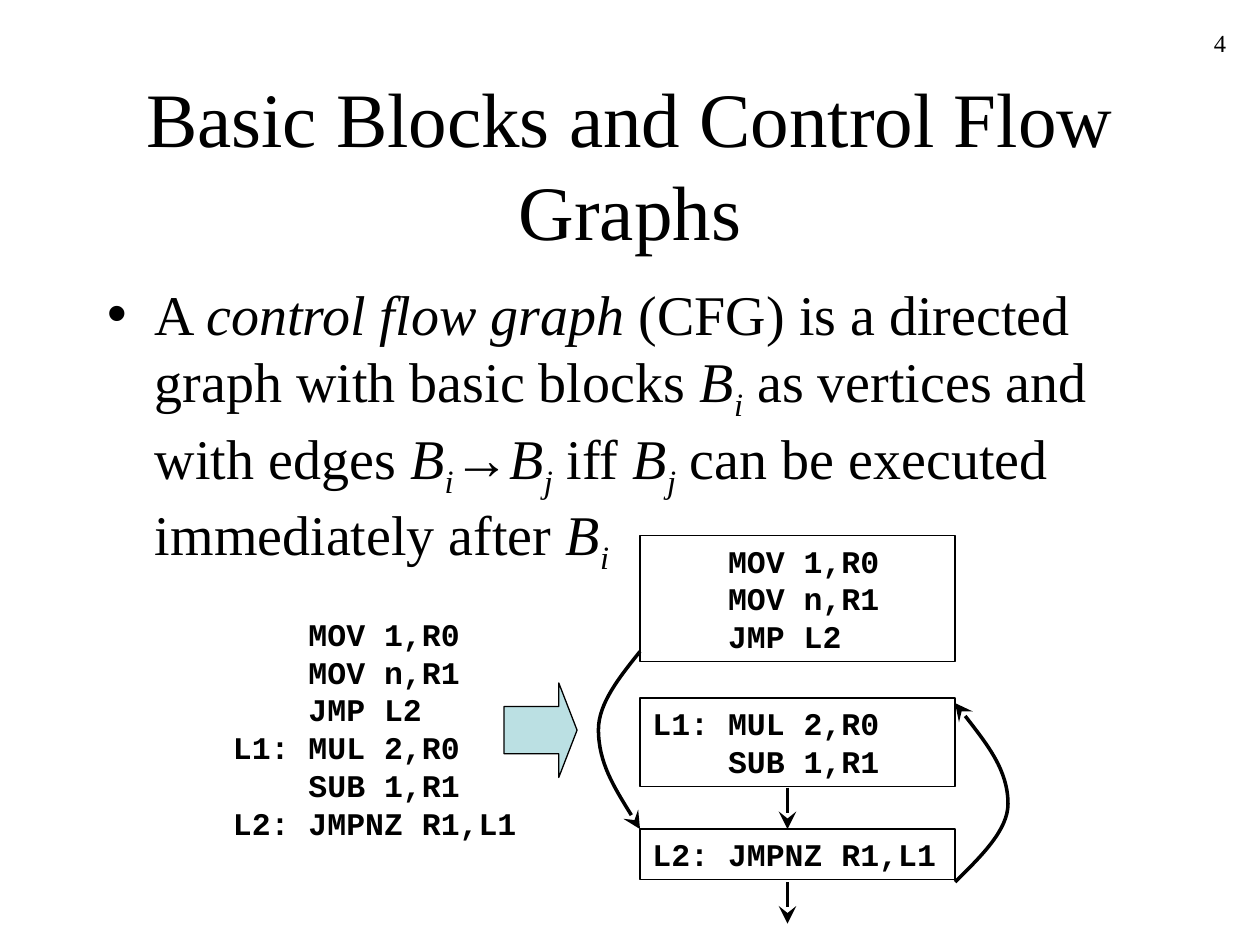
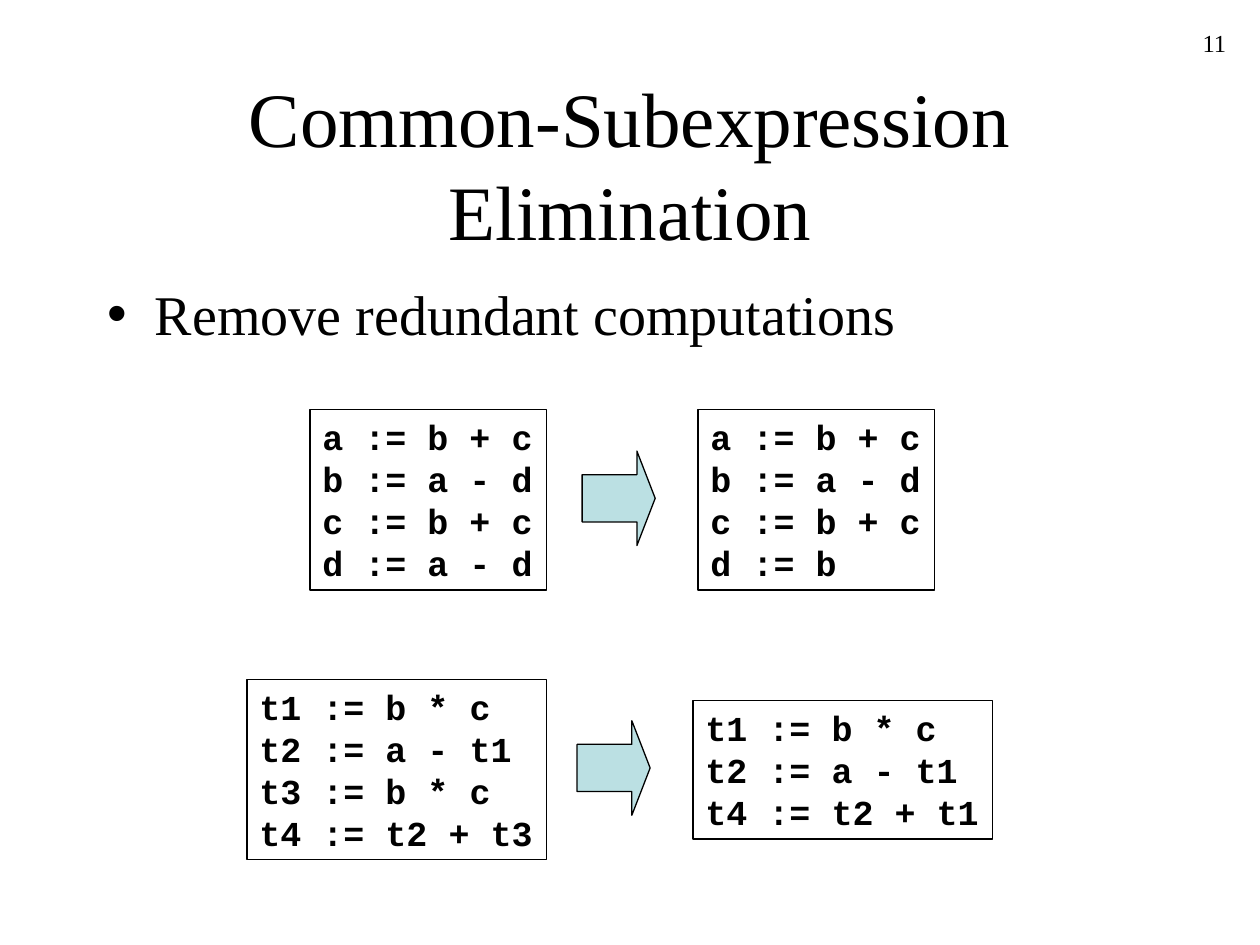
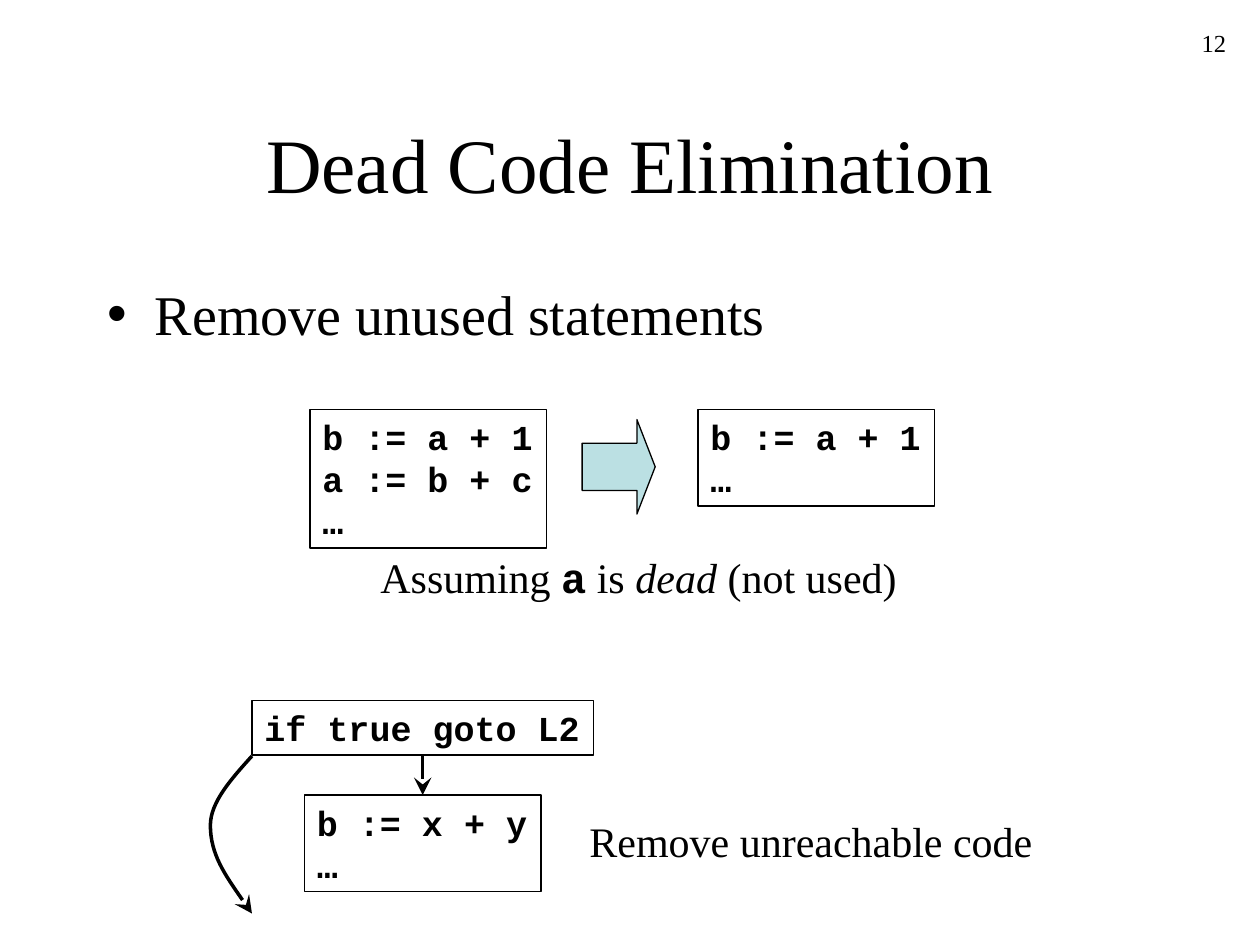
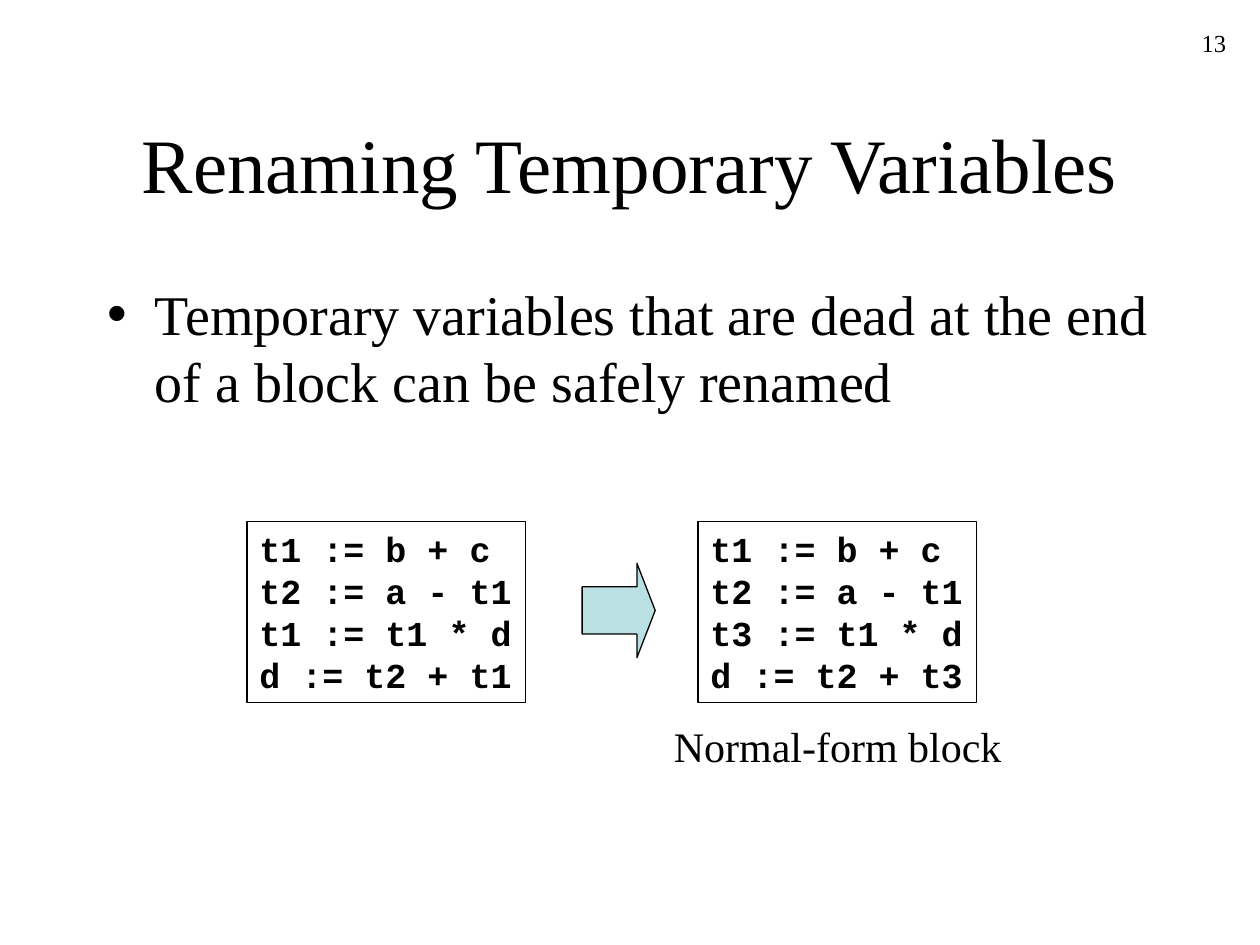
from dataclasses import dataclass

from pptx import Presentation
from pptx.dml.color import RGBColor
from pptx.enum.shapes import MSO_CONNECTOR, MSO_SHAPE
from pptx.enum.text import MSO_ANCHOR, MSO_AUTO_SIZE, PP_ALIGN
from pptx.oxml.ns import qn
from pptx.oxml.xmlchemy import OxmlElement
from pptx.util import Inches, Pt

BLACK = RGBColor(0x00, 0x00, 0x00)
PALE_TEAL = RGBColor(0xBB, 0xE0, 0xE3)
SERIF = "Times New Roman"
MONO = "Courier New"
Point = tuple[float, float]


@dataclass
class Span:
    text: str
    italic: bool = False
    bold: bool = False
    subscript: bool = False
    face: str = SERIF


@dataclass
class Code:
    left: float
    top: float
    text: str
    size: int = 20
    width: float | None = None
    framed: bool = True


@dataclass
class Curve:
    start: Point
    bulge: Point
    end: Point


# Text
def set_font(font, size: int, face: str = SERIF, bold: bool = False) -> None:
    font.name, font.size, font.bold = face, Pt(size), bold
    font.color.rgb = BLACK


def fill_para(para, content: str | list[Span], size: int) -> None:
    set_font(para.font, size)
    if isinstance(content, str):
        para.text = content
        return
    for part in content:
        span = para.add_run()
        span.text = part.text
        span.font.name = part.face
        span.font.italic, span.font.bold = part.italic, part.bold
        if part.subscript:
            span.font._element.set("baseline", "-25000")


def place(shape, left: float, top: float, width: float, height: float) -> None:
    shape.left, shape.top = Inches(left), Inches(top)
    shape.width, shape.height = Inches(width), Inches(height)


def add_label(page, left: float, top: float, width: float,
              content: str | list[Span], size: int = 24, align=PP_ALIGN.LEFT) -> None:
    box = page.shapes.add_textbox(Inches(left), Inches(top), Inches(width), Inches(0.5))
    box.text_frame.word_wrap = True
    para = box.text_frame.paragraphs[0]
    para.alignment = align
    fill_para(para, content, size)


def add_page(deck, number: int, title: str, body: str | list[Span]):
    page = deck.slides.add_slide(deck.slide_layouts[1])
    heading, bullets = page.placeholders[0], page.placeholders[1]
    place(heading, 0.75, 0.67, 8.5, 1.25)
    place(bullets, 0.75, 2.17, 8.5, 4.5)
    for holder in (heading, bullets):
        holder.text_frame.auto_size = MSO_AUTO_SIZE.NONE
        holder.text_frame.word_wrap = True
    heading.text_frame.vertical_anchor = MSO_ANCHOR.MIDDLE
    para = heading.text_frame.paragraphs[0]
    para.alignment = PP_ALIGN.CENTER
    fill_para(para, title, 44)

    para = bullets.text_frame.paragraphs[0]
    properties = para._p.get_or_add_pPr()
    properties.set("marL", str(Inches(0.38)))
    properties.set("indent", str(Inches(-0.38)))
    para.space_before = Pt(0)
    fill_para(para, body, 32)
    add_label(page, 7.75, 0.17, 2.08, str(number), 14, PP_ALIGN.RIGHT)
    return page


# Code boxes, sized by their longest line and number of lines
def add_code(page, code: Code):
    lines = code.text.split("\n")
    width = code.width or 0.21 + max(map(len, lines)) * code.size * 0.6 / 72
    height = 0.1 + len(lines) * code.size * 1.2 / 72
    box = page.shapes.add_shape(MSO_SHAPE.RECTANGLE, Inches(code.left), Inches(code.top),
                                Inches(width), Inches(height))
    box.shadow.inherit = False
    box.fill.background()
    if code.framed:
        box.line.color.rgb, box.line.width = BLACK, Pt(0.75)
    else:
        box.line.fill.background()
    frame = box.text_frame
    frame.word_wrap = code.width is not None
    frame.auto_size = MSO_AUTO_SIZE.SHAPE_TO_FIT_TEXT
    frame.vertical_anchor = MSO_ANCHOR.TOP
    para = frame.paragraphs[0]
    para.alignment = PP_ALIGN.LEFT
    para.text = code.text
    set_font(para.font, code.size, MONO, bold=True)
    return box


# Arrows
def add_block_arrow(page, left: float, top: float) -> None:
    arrow = page.shapes.add_shape(MSO_SHAPE.RIGHT_ARROW, Inches(left), Inches(top),
                                  Inches(0.58), Inches(0.75))
    arrow.adjustments[0], arrow.adjustments[1] = 0.5, 0.25
    arrow.shadow.inherit = False
    arrow.fill.solid()
    arrow.fill.fore_color.rgb = PALE_TEAL
    arrow.line.color.rgb, arrow.line.width = BLACK, Pt(0.75)


def style_flow(shape) -> None:
    shape.line.color.rgb, shape.line.width = BLACK, Pt(2)
    head = OxmlElement("a:tailEnd")
    for name, value in (("type", "stealth"), ("w", "lg"), ("len", "lg")):
        head.set(name, value)
    shape.line._get_or_add_ln().append(head)


def add_flow(page, start: Point, end: Point):
    line = page.shapes.add_connector(MSO_CONNECTOR.STRAIGHT, Inches(start[0]), Inches(start[1]),
                                     Inches(end[0]), Inches(end[1]))
    style_flow(line)
    line._element.spPr.append(OxmlElement("a:effectLst"))
    return line


def add_curve(page, curve: Curve) -> None:
    (x0, y0), (x1, y1), (x2, y2) = curve.start, curve.bulge, curve.end
    points = [
        ((x0 + x1) / 2, y0 + (y1 - y0) / 3), (x1, y0 + (y1 - y0) * 2 / 3), (x1, y1),
        (x1, y1 + (y2 - y1) / 3), ((x1 + x2) / 2, y1 + (y2 - y1) * 2 / 3), (x2, y2),
    ]
    builder = page.shapes.build_freeform(Inches(x0), Inches(y0))
    builder.add_line_segments([(Inches(x), Inches(y)) for x, y in points], close=False)
    shape = builder.convert_to_shape()
    # Each three points become one Bézier segment
    steps = list(shape._element.iter(qn("a:lnTo")))
    for first in range(0, len(steps), 3):
        bezier = OxmlElement("a:cubicBezTo")
        steps[first].addprevious(bezier)
        for step in steps[first:first + 3]:
            bezier.append(step[0])
            step.getparent().remove(step)
    shape.shadow.inherit = False
    shape.fill.background()
    style_flow(shape)


# Slides
def add_flow_graph(deck) -> None:
    def block(index: str) -> list[Span]:
        return [Span("B", italic=True), Span(index, italic=True, subscript=True)]

    page = add_page(deck, 4, "Basic Blocks and Control Flow Graphs", [
        Span("A "), Span("control flow graph", italic=True),
        Span(" (CFG) is a directed graph with basic blocks "), *block("i"),
        Span(" as vertices and with edges "), *block("i"), Span("→", face="Arial"), *block("j"),
        Span(" iff "), *block("j"), Span(" can be executed immediately after "), *block("i"),
    ])
    blocks = [
        (4.25, "    MOV 1,R0\n    MOV n,R1\n    JMP L2"),
        (5.54, "L1: MUL 2,R0\n    SUB 1,R1"),
        (6.58, "L2: JMPNZ R1,L1"),
    ]
    for top, text in blocks:
        add_code(page, Code(5.08, top, text, 18, width=2.5))
    program = "\n".join(text for _, text in blocks)
    add_code(page, Code(1.75, 4.83, program, 18, framed=False))
    add_block_arrow(page, 4, 5.42)
    add_curve(page, Curve((5.08, 5.17), (4.75, 5.79), (5.08, 6.58)))
    add_curve(page, Curve((7.58, 7), (8, 6.38), (7.58, 5.58)))
    add_flow(page, (6.25, 6.25), (6.25, 6.58))
    add_flow(page, (6.25, 7), (6.25, 7.33))


def add_common_subexpressions(deck) -> None:
    page = add_page(deck, 11, "Common-Subexpression Elimination",
                    "Remove redundant computations")
    for code in (
        Code(2.46, 3.25, "a := b + c\nb := a - d\nc := b + c\nd := a - d"),
        Code(5.54, 3.25, "a := b + c\nb := a - d\nc := b + c\nd := b"),
        Code(1.96, 5.39, "t1 := b * c\nt2 := a - t1\nt3 := b * c\nt4 := t2 + t3"),
        Code(5.5, 5.56, "t1 := b * c\nt2 := a - t1\nt4 := t2 + t1"),
    ):
        add_code(page, code)
    add_block_arrow(page, 4.62, 3.58)
    add_block_arrow(page, 4.58, 5.72)


def add_dead_code(deck) -> None:
    page = add_page(deck, 12, "Dead Code Elimination", "Remove unused statements")
    add_code(page, Code(2.46, 3.25, "b := a + 1\na := b + c\n…"))
    add_code(page, Code(5.54, 3.25, "b := a + 1\n…"))
    add_block_arrow(page, 4.62, 3.33)
    add_label(page, 2.92, 4.33, 4.35, [
        Span("Assuming "), Span("a", bold=True, face=MONO), Span(" is "),
        Span("dead", italic=True), Span(" (not used)"),
    ])
    unreachable = add_code(page, Code(2.42, 6.31, "b := x + y\n…"))
    jump = add_code(page, Code(2, 5.56, "if true goto L2"))
    # Centre the lower box under the jump, so that the arrow stays upright
    unreachable.left = jump.left + (jump.width - unreachable.width) // 2
    add_curve(page, Curve((2, 6), (1.67, 6.55), (2, 7.25)))
    fall_through = add_flow(page, (3.35, 6), (3.35, 6.31))
    fall_through.begin_connect(jump, 2)
    fall_through.end_connect(unreachable, 0)
    add_label(page, 4.58, 6.42, 3.8, "Remove unreachable code")


def add_renaming(deck) -> None:
    page = add_page(deck, 13, "Renaming Temporary Variables",
                    "Temporary variables that are dead at the end of a block can be safely renamed")
    add_code(page, Code(1.96, 4.14, "t1 := b + c\nt2 := a - t1\nt1 := t1 * d\nd := t2 + t1"))
    add_code(page, Code(5.54, 4.14, "t1 := b + c\nt2 := a - t1\nt3 := t1 * d\nd := t2 + t3"))
    add_block_arrow(page, 4.62, 4.47)
    add_label(page, 5.25, 5.67, 2.85, "Normal-form block")


def main() -> None:
    deck = Presentation()
    deck.slide_width, deck.slide_height = Inches(10), Inches(7.5)
    add_flow_graph(deck)
    add_common_subexpressions(deck)
    add_dead_code(deck)
    add_renaming(deck)
    deck.save("out.pptx")


if __name__ == "__main__":
    main()
